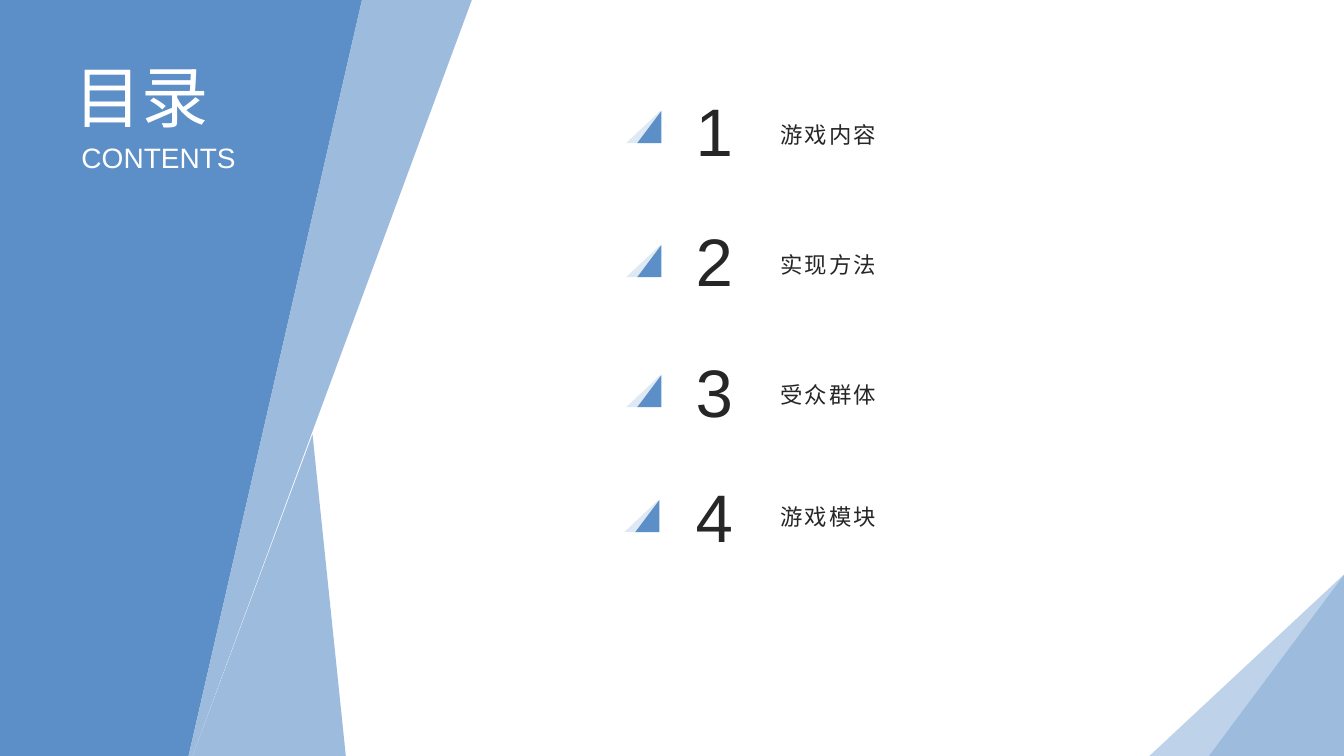
from pptx import Presentation
from pptx.dml.color import RGBColor
from pptx.enum.shapes import MSO_SHAPE
from pptx.enum.text import MSO_ANCHOR
from pptx.util import Inches, Pt

TRIANGLE = MSO_SHAPE.ISOSCELES_TRIANGLE
TOP, MIDDLE = MSO_ANCHOR.TOP, MSO_ANCHOR.MIDDLE

BLUE = RGBColor(0x5C, 0x8F, 0xC7)
SOFT_BLUE = RGBColor(0x9D, 0xBC, 0xDD)
PALE_BLUE = RGBColor(0xBE, 0xD2, 0xE9)
MIST = RGBColor(0xDE, 0xE9, 0xF4)
INK = RGBColor(0x26, 0x26, 0x26)
WHITE = RGBColor(0xFF, 0xFF, 0xFF)

WIDTH, HEIGHT = 13.33, 7.5
HEADINGS = [
    ("目录", 48, (0.64, 0.5, 1.53, 0.91)),
    ("CONTENTS", 20, (0.71, 1.34, 1.75, 0.44)),
]
# topic, number top, topic top, marker left, marker top
CHAPTERS = [
    ("游戏内容", 0.84, 0.88, 6.32, 1.10),
    ("实现方法", 2.13, 2.17, 6.32, 2.43),
    ("受众群体", 3.43, 3.46, 6.32, 3.72),
    ("游戏模块", 4.67, 4.67, 6.30, 4.96),
]
CORNER = [(WIDTH, 5.7), (12.96, HEIGHT), (11.4, HEIGHT)]
BANDS = [
    ([(0, 0), (3.59, 0), (1.87, HEIGHT), (0, HEIGHT)], BLUE),
    ([(4.68, 0), (1.91, HEIGHT), (1.87, HEIGHT), (3.59, 0)], SOFT_BLUE),
    ([(3.1, 4.31), (3.43, HEIGHT), (1.91, HEIGHT)], SOFT_BLUE),
]
MARKER_SHADE = [(0.23, 0), (0.17, 0.32), (-0.11, 0.32)]

deck = Presentation()
deck.slide_width, deck.slide_height = Inches(WIDTH), Inches(HEIGHT)
slide = deck.slides.add_slide(deck.slide_layouts[6])


def paint(shape, color):
    shape.shadow.inherit = False
    shape.fill.solid()
    shape.fill.fore_color.rgb = color
    shape.line.fill.background()


def add_polygon(points, color):
    start, *rest = [(Inches(x), Inches(y)) for x, y in points]
    outline = slide.shapes.build_freeform(*start)
    outline.add_line_segments(rest, close=True)
    paint(outline.convert_to_shape(), color)


def add_right_triangle(box, color):
    triangle = slide.shapes.add_shape(TRIANGLE, *map(Inches, box))
    triangle.adjustments[0] = 1
    paint(triangle, color)


def add_text(text, box, size, color, anchor=TOP, spacing=0):
    frame = slide.shapes.add_textbox(*map(Inches, box)).text_frame
    frame.word_wrap = True
    frame.vertical_anchor = anchor
    frame.text = text
    run = frame.paragraphs[0].runs[0]
    run.font.name = "Arial"
    run.font.size = Pt(size)
    run.font.color.rgb = color
    if spacing:
        run._r.get_or_add_rPr().set("spc", str(int(spacing * 100)))


add_polygon(CORNER, PALE_BLUE)
add_right_triangle((11.99, 5.69, 1.35, 1.81), SOFT_BLUE)
for points, color in BANDS:
    add_polygon(points, color)

for heading, size, box in HEADINGS:
    add_text(heading, box, size, WHITE)

for number, chapter in enumerate(CHAPTERS, 1):
    topic, number_top, topic_top, marker_left, marker_top = chapter
    add_polygon([(marker_left + x, marker_top + y) for x, y in MARKER_SHADE], MIST)
    add_right_triangle((marker_left, marker_top, 0.24, 0.32), BLUE)
    add_text(str(number), (6.8, number_top, 0.58, 0.91), 48, INK)
    add_text(topic, (7.64, topic_top, 3.15, 0.91), 16, INK, MIDDLE, 1.5)

deck.save("out.pptx")
